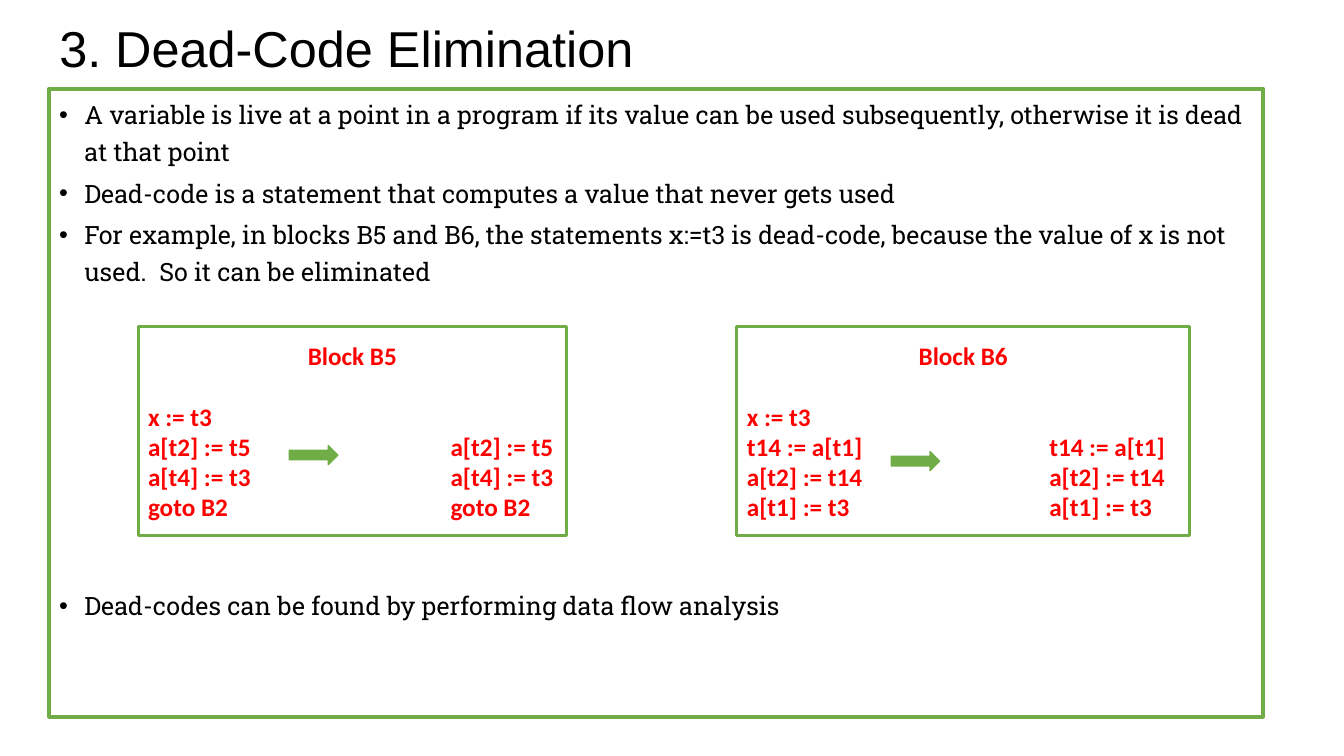
from dataclasses import dataclass

from lxml import etree
from pptx import Presentation
from pptx import util as u
from pptx.dml.color import RGBColor
from pptx.enum import shapes, text
from pptx.oxml.ns import qn


@dataclass(frozen=True)
class Theme:
    ink: RGBColor = RGBColor(0, 0, 0)
    paper: RGBColor = RGBColor(255, 255, 255)
    green: RGBColor = RGBColor(0x70, 0xAD, 0x47)
    red: RGBColor = RGBColor(255, 0, 0)
    title_font: str = "Arial"
    body_font: str = "Roboto Slab"
    code_font: str = "Calibri"
    title_size: u.Pt = u.Pt(36)
    text_size: u.Pt = u.Pt(18)


THEME = Theme()
SLIDE_WIDTH, SLIDE_HEIGHT = u.Inches(13.33), u.Inches(7.5)
COLUMN, ROW = SLIDE_WIDTH / 100, SLIDE_HEIGHT / 100

TITLE_FORMAT = {"name": THEME.title_font, "size": THEME.title_size}
BODY_FORMAT = {"name": THEME.body_font, "size": THEME.text_size}
CODE_FORMAT = {"name": THEME.code_font, "size": THEME.text_size, "bold": True}

POINTS = [
    ("A variable is live at a point in a program if its value can be used "
     "subsequently, otherwise it is dead at that point", 0),
    ("Dead-code is a statement that computes a value that never gets used", 4),
    ("For example, in blocks B5 and B6, the statements x:=t3 is dead-code, "
     "because the value of x is not used.  So it can be eliminated", 4),
    ("Dead-codes can be found by performing data flow analysis", 213),
]


@dataclass(frozen=True)
class Box:
    left: float
    top: float
    width: float
    height: float

    def inside(self, left, top, width, height):
        return Box(self.left + left, self.top + top, width, height)

    def lengths(self):
        return (round(self.left * COLUMN), round(self.top * ROW),
                round(self.width * COLUMN), round(self.height * ROW))


def set_format(target, values):
    for name, value in values.items():
        setattr(target, name, value)


def add_paragraph(frame, wording, font_format, color, paragraph_format):
    paragraph = frame.paragraphs[0]
    if paragraph.runs:
        paragraph = frame.add_paragraph()
    set_format(paragraph, paragraph_format)
    run = paragraph.add_run()
    run.text = wording
    set_format(run.font, font_format)
    run.font.color.rgb = color
    return paragraph


def add_bullet(paragraph):
    properties = paragraph._p.get_or_add_pPr()
    properties.set("marL", str(u.Inches(0.25)))
    properties.set("indent", str(-u.Inches(0.25)))
    etree.SubElement(properties, qn("a:buFont"), typeface="Arial")
    etree.SubElement(properties, qn("a:buChar"), char="•")


def add_tab_stop(paragraph, position):
    stops = etree.SubElement(paragraph._p.get_or_add_pPr(), qn("a:tabLst"))
    etree.SubElement(stops, qn("a:tab"), pos=str(position), algn="l")


def add_outlined(parent, kind, box, line_width, fill=None):
    shape = parent.shapes.add_shape(kind, *box.lengths())
    shape.shadow.inherit = False
    if fill is None:
        shape.fill.background()
    else:
        shape.fill.solid()
        shape.fill.fore_color.rgb = fill
    shape.line.color.rgb = THEME.green
    shape.line.width = u.Pt(line_width)
    return shape


def add_title(slide, box, wording):
    frame = slide.shapes.add_textbox(*box.lengths()).text_frame
    set_format(frame, {"word_wrap": True,
                       "vertical_anchor": text.MSO_ANCHOR.MIDDLE})
    add_paragraph(frame, wording, TITLE_FORMAT, THEME.ink,
                  {"line_spacing": 0.9})


def add_body(slide, box, points):
    panel = add_outlined(slide, shapes.MSO_SHAPE.RECTANGLE, box, 3, THEME.paper)
    frame = panel.text_frame
    set_format(frame, {"word_wrap": True,
                       "vertical_anchor": text.MSO_ANCHOR.TOP})
    for wording, space in points:
        paragraph = add_paragraph(
            frame, wording, BODY_FORMAT, THEME.ink,
            {"alignment": text.PP_ALIGN.LEFT, "line_spacing": 1.2,
             "space_before": u.Pt(space)})
        add_bullet(paragraph)


def add_code_block(slide, box, heading, dead, kept, arrow_left, arrow_top):
    group = slide.shapes.add_group_shape()
    block = add_outlined(group, shapes.MSO_SHAPE.RECTANGLE, box, 2.25)
    frame = block.text_frame
    set_format(frame, {"word_wrap": True,
                       "vertical_anchor": text.MSO_ANCHOR.MIDDLE})
    add_paragraph(frame, heading, CODE_FORMAT, THEME.red,
                  {"alignment": text.PP_ALIGN.CENTER})
    add_paragraph(frame, dead, CODE_FORMAT, THEME.red,
                  {"alignment": text.PP_ALIGN.LEFT, "space_before": u.Pt(22)})
    for statement in kept:
        paragraph = add_paragraph(frame, f"{statement}\t{statement}",
                                  CODE_FORMAT, THEME.red,
                                  {"alignment": text.PP_ALIGN.LEFT})
        add_tab_stop(paragraph, u.Inches(3))
    add_outlined(group, shapes.MSO_SHAPE.RIGHT_ARROW,
                 box.inside(arrow_left, arrow_top, 3.6, 2.53), 1, THEME.green)


def main():
    presentation = Presentation()
    set_format(presentation, {"slide_width": SLIDE_WIDTH,
                              "slide_height": SLIDE_HEIGHT})
    slide = presentation.slides.add_slide(presentation.slide_layouts[6])
    body = Box(3.67, 11.73, 90.3, 83.07)
    add_title(slide, Box(3.67, 0, 69.9, 13.6), "3. Dead-Code Elimination")
    add_body(slide, body, POINTS)
    add_code_block(slide, body.inside(6.61, 31.47, 31.88, 27.6),
                   "Block B5", "x := t3",
                   ["a[t2] := t5", "a[t4] := t3", "goto B2"], 11.25, 15.73)
    add_code_block(slide, body.inside(51.16, 31.47, 33.68, 27.6),
                   "Block B6", "x := t3",
                   ["t14 := a[t1]", "a[t2] := t14", "a[t1] := t3"], 11.48, 16.53)
    presentation.save("out.pptx")


if __name__ == "__main__":
    main()
